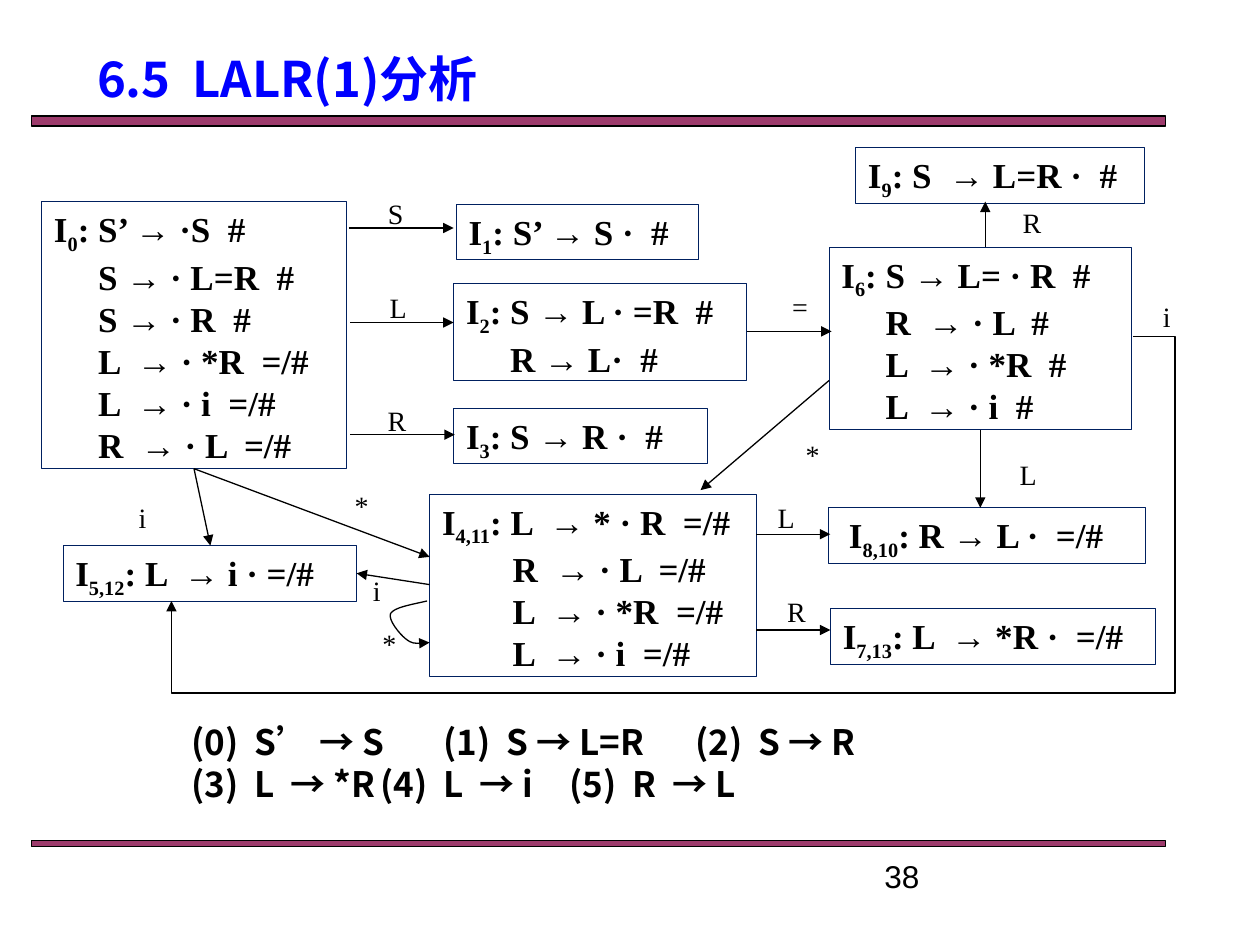
from dataclasses import dataclass

from lxml.etree import SubElement
from pptx import Presentation
from pptx.dml.color import RGBColor
from pptx.enum.shapes import MSO_CONNECTOR, MSO_SHAPE
from pptx.enum.text import MSO_ANCHOR, MSO_AUTO_SIZE, PP_ALIGN
from pptx.oxml.ns import qn
from pptx.util import Inches, Pt


@dataclass(frozen=True)
class Theme:
    ink: str = "000000"
    title: str = "0000FF"
    bar: str = "993366"
    bar_opacity: int = 96
    border: str = "002060"
    sans: str = "Noto Sans CJK SC"
    serif: str = "Times New Roman"
    number: str = "Arial"
    title_size: int = 28
    text_size: int = 20
    number_size: int = 18
    label_size: int = 16
    line: float = 0.75
    thin: float = 0.25


COLUMNS, ROWS = 100, 75

# left, top, width, height, state name, indent of later items (inches), items
STATES = [
    (3.3, 16, 24.2, 21.2, "0", 0.35,
     ["S’ → ·S  #", "S → · L=R  #", "S → · R  #",
      "L  → · *R  =/#", "L  → · i  =/#", "R  → · L  =/#"]),
    (65.8, 19.6, 24, 14.5, "6", 0.35,
     ["S → L= · R  #", "R  → · L  #", "L  → · *R  #", "L  → · i  #"]),
    (36.2, 16.2, 19.2, 4.4, "1", 0, ["S’ → S ·  #"]),
    (36, 22.5, 23.2, 7.7, "2", 0.35, ["S → L · =R  #", "R → L·  #"]),
    (36, 32.4, 20.1, 4.4, "3", 0, ["S → R ·  #"]),
    (34.1, 39.2, 25.9, 14.5, "4,11", 0.56,
     ["L  → * · R  =/#", "R  → · L  =/#", "L  → · *R  =/#", "L  → · i  =/#"]),
    (5, 43.3, 23.3, 4.4, "5,12", 0, ["L  → i · =/#"]),
    (65.7, 40.3, 25.2, 4.4, "8,10", 0, ["R → L ·  =/#"]),
    (65.9, 48.3, 25.8, 4.4, "7,13", 0, ["L  → *R ·  =/#"]),
    (67.9, 11.7, 22.9, 4.4, "9", 0, ["S  → L=R ·  #"]),
]

# start column, start row, end column, end row
ARROWS = [
    (27.7, 18.1, 36, 18.1), (27.8, 25.6, 36, 25.6), (27.8, 34.5, 36.1, 34.5),
    (15.4, 37.2, 34.1, 44.2), (15.4, 37.2, 16.7, 43.3), (34.1, 46.4, 28.3, 45.5),
    (60, 42.4, 65.9, 42.4), (60, 50, 65.9, 50), (59.3, 26.3, 66, 26.3),
    (78.2, 19.6, 78.2, 16), (65.8, 30.2, 55.6, 38.9), (77.8, 34.1, 77.8, 40.3),
]

# symbol, left, top
LABELS = [
    ("S", 29, 15.1), ("L", 29.2, 22.6), ("R", 29.1, 31.5), ("*", 26.3, 38.3),
    ("R", 60.8, 46.7), ("R", 79.5, 15.8), ("i", 8.9, 39.2), ("i", 27.5, 45),
    ("L", 60, 39.2), ("=", 61.1, 22.5), ("i", 90.2, 23.3), ("*", 62.1, 34.2),
    ("L", 79.2, 35.8), ("*", 28.5, 49.2),
]

# start point, then two control points and an end point per curve
SELF_LOOP = [(33.9, 47.7), (32.6, 48), (31.3, 48.2), (31, 48.7),
             (30.8, 49.2), (31.7, 50.3), (32.2, 50.7), (32.7, 51.1), (33.4, 51.1), (34.1, 51)]

# productions of a line, and the tab stops (inches) between them
PRODUCTIONS = [
    (["(0)  S’ → S", "(1)  S → L=R", "(2)  S → R"], [1.79, 3.57]),
    (["(3)  L  → *R", "(4)  L  → i", "(5)  R  → L"], [1.71, 3.18]),
]


class SlideBuilder:
    """Draws on one slide; lengths are columns and rows of the grid."""

    def __init__(self, presentation, theme):
        self.theme = theme
        self.column = presentation.slide_width / COLUMNS
        self.row = presentation.slide_height / ROWS
        self.slide = presentation.slides.add_slide(presentation.slide_layouts[1])
        self.shapes = self.slide.shapes

    def place(self, *lengths):
        """Turn alternating columns and rows into slide units."""
        return [round(length * (self.row if index % 2 else self.column))
                for index, length in enumerate(lengths)]

    def run(self, paragraph, text, font, size, bold=False, color=None, subscript=False):
        run = paragraph.add_run()
        run.text = text
        run.font.name, run.font.size, run.font.bold = font, Pt(size), bold
        run.font.color.rgb = RGBColor.from_string(color or self.theme.ink)
        properties = run.font._element
        SubElement(properties, qn("a:ea"), typeface=font)
        if subscript:
            properties.set("baseline", "-25000")

    def stroke(self, shape, color, width, arrow=False):
        shape.line.color.rgb = RGBColor.from_string(color)
        shape.line.width = Pt(width)
        if arrow:
            SubElement(shape.line._get_or_add_ln(), qn("a:tailEnd"), type="triangle")

    def fill_placeholder(self, placeholder, box, anchor):
        placeholder.left, placeholder.top, placeholder.width, placeholder.height = self.place(*box)
        frame = placeholder.text_frame
        frame.word_wrap, frame.auto_size = True, MSO_AUTO_SIZE.NONE
        frame.vertical_anchor = anchor
        return frame

    def title(self, text, *box):
        frame = self.fill_placeholder(self.shapes.title, box, MSO_ANCHOR.MIDDLE)
        paragraph = frame.paragraphs[0]
        paragraph.alignment = PP_ALIGN.LEFT
        self.run(paragraph, text, self.theme.sans, self.theme.title_size, True, self.theme.title)

    def productions(self, lines, *box):
        frame = self.fill_placeholder(self.slide.placeholders[1], box, MSO_ANCHOR.TOP)
        for index, (items, stops) in enumerate(lines):
            paragraph = frame.add_paragraph() if index else frame.paragraphs[0]
            paragraph.line_spacing = Pt(24)
            paragraph.space_before = Pt(0)
            properties = paragraph._p.get_or_add_pPr()
            properties.set("marL", "0")
            properties.set("indent", "0")
            SubElement(properties, qn("a:buNone"))
            tabs = SubElement(properties, qn("a:tabLst"))
            for stop in stops:
                SubElement(tabs, qn("a:tab"), pos=str(Inches(stop)), algn="l")
            self.run(paragraph, "\t".join(items), self.theme.sans, self.theme.text_size, True)

    def rectangle(self, box, color, width):
        shape = self.shapes.add_shape(MSO_SHAPE.RECTANGLE, *self.place(*box))
        shape.shadow.inherit = False
        self.stroke(shape, color, width)
        return shape

    def bar(self, *box):
        shape = self.rectangle(box, self.theme.ink, self.theme.line)
        shape.fill.solid()
        shape.fill.fore_color.rgb = RGBColor.from_string(self.theme.bar)
        color = shape._element.spPr.find(qn("a:solidFill"))[0]
        SubElement(color, qn("a:alpha"), val=str(self.theme.bar_opacity * 1000))

    def state(self, left, top, width, height, name, indent, items):
        """Box of an item set: the name with its subscript, then one item a line."""
        shape = self.rectangle((left, top, width, height), self.theme.border, self.theme.thin)
        shape.fill.background()
        frame = shape.text_frame
        frame.word_wrap, frame.vertical_anchor = True, MSO_ANCHOR.TOP
        style = (self.theme.serif, self.theme.text_size, True)
        for index, item in enumerate(items):
            paragraph = frame.add_paragraph() if index else frame.paragraphs[0]
            paragraph.alignment = PP_ALIGN.LEFT
            if index:
                paragraph._p.get_or_add_pPr().set("marL", str(Inches(indent)))
                self.run(paragraph, item, *style)
            else:
                self.run(paragraph, " I" if name == "8,10" else "I", *style)
                self.run(paragraph, name, *style, subscript=True)
                self.run(paragraph, f": {item}", *style)

    def text(self, text, box, font, size, alignment):
        frame = self.shapes.add_textbox(*self.place(*box)).text_frame
        frame.word_wrap = True
        paragraph = frame.paragraphs[0]
        paragraph.alignment = alignment
        self.run(paragraph, text, font, size)

    def label(self, symbol, left, top):
        self.text(symbol, (left, top, 4.8, 3.7), self.theme.serif,
                  self.theme.label_size, PP_ALIGN.CENTER)

    def arrow(self, *ends, kind=MSO_CONNECTOR.STRAIGHT):
        connector = self.shapes.add_connector(kind, *self.place(*ends))
        self.stroke(connector, self.theme.ink, self.theme.line, arrow=True)
        SubElement(connector._element.spPr, qn("a:effectLst"))
        return connector

    def return_arrow(self, *corners, bends):
        """Arrow with three bends that leaves to the right and comes back from below."""
        properties = self.arrow(*corners, kind=MSO_CONNECTOR.ELBOW)._element.spPr
        frame = properties.find(qn("a:xfrm"))
        frame.set("rot", "10800000")
        frame.set("flipV", "1")
        geometry = properties.find(qn("a:prstGeom"))
        geometry.set("prst", "bentConnector4")
        guides = geometry.find(qn("a:avLst"))
        for index, bend in enumerate(bends, 1):
            SubElement(guides, qn("a:gd"), name=f"adj{index}", fmla=f"val {bend}")

    def curved_arrow(self, points):
        start, *rest = [self.place(*point) for point in points]
        builder = self.shapes.build_freeform(*start)
        builder.add_line_segments(rest, close=False)
        shape = builder.convert_to_shape()
        shape.shadow.inherit = False
        shape.fill.background()
        self.stroke(shape, self.theme.ink, self.theme.line, arrow=True)
        outline = next(shape._element.iter(qn("a:path")))
        segments = outline.findall(qn("a:lnTo"))
        for first in range(0, len(segments), 3):
            curve = SubElement(outline, qn("a:cubicBezTo"))
            for segment in segments[first:first + 3]:
                curve.append(segment[0])
                outline.remove(segment)


def main():
    presentation = Presentation()
    presentation.slide_width, presentation.slide_height = Inches(10), Inches(7.5)
    theme = Theme()
    builder = SlideBuilder(presentation, theme)
    builder.title("6.5  LALR(1)分析", 6.7, 3.3, 37.4, 5.8)
    builder.productions(PRODUCTIONS, 14.2, 56.7, 67.5, 7.7)
    builder.bar(2.5, 9.2, 90, 0.8)
    builder.bar(2.5, 66.7, 90, 0.5)
    builder.text("38", (69.2, 67.5, 23.3, 2.7), theme.number, theme.number_size, PP_ALIGN.LEFT)
    for state in STATES:
        builder.state(*state)
    for ends in ARROWS:
        builder.arrow(*ends)
    builder.return_arrow(13.6, 26.7, 89.9, 47.7, bends=(-4400, 134800))
    builder.curved_arrow(SELF_LOOP)
    for label in LABELS:
        builder.label(*label)
    presentation.save("out.pptx")


if __name__ == "__main__":
    main()
